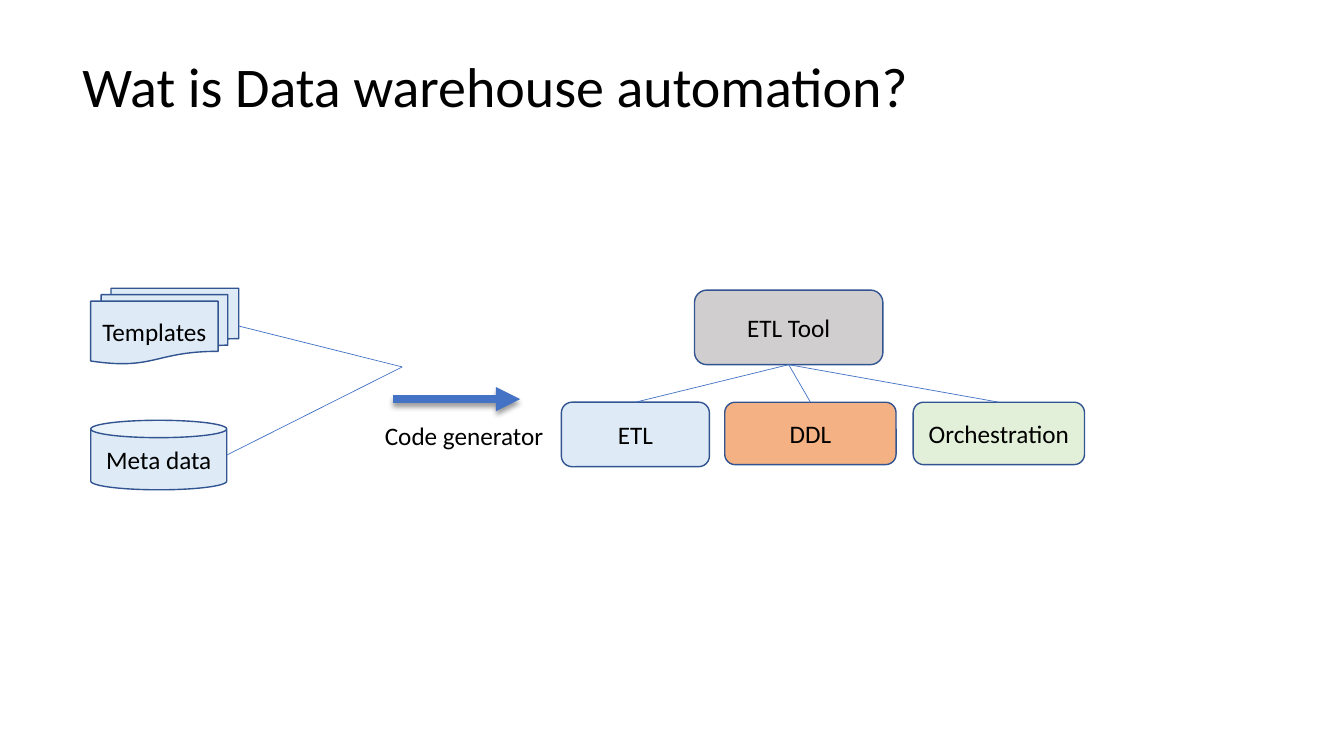
import pptx
import pptx.dml.color
import pptx.enum.shapes
import pptx.enum.text
import pptx.oxml
import pptx.oxml.ns
import pptx.util

Pt = pptx.util.Pt
Shape = pptx.enum.shapes.MSO_SHAPE
Align = pptx.enum.text.PP_ALIGN
Anchor = pptx.enum.text.MSO_ANCHOR

ARROW_SHADOW = (
    '<a:outerShdw blurRad="50800" dist="38100" dir="5400000" rotWithShape="0">'
    '<a:srgbClr val="000000"><a:alpha val="40000"/></a:srgbClr></a:outerShdw>'
)


def color(hex_string):
    return pptx.dml.color.RGBColor.from_string(hex_string)


def parse_drawing(tag, content="", attributes=""):
    namespace = pptx.oxml.ns.nsdecls("a")
    return pptx.oxml.parse_xml(f"<a:{tag} {namespace} {attributes}>{content}</a:{tag}>")


def write(frame, text, size=18, align=Align.LEFT, anchor=Anchor.TOP,
          font="Calibri", ink="000000"):
    frame.word_wrap = True
    frame.vertical_anchor = anchor
    paragraph = frame.paragraphs[0]
    paragraph.alignment = align
    run = paragraph.add_run()
    run.text = text
    run.font.name = font
    run.font.size = Pt(size)
    run.font.color.rgb = color(ink)


class Diagram:
    outline = "325491"
    accent = "4472C4"
    blue = "DEEBF7"
    orange = "F4B183"
    green = "E2F0D9"
    gray = "D0CECE"

    def __init__(self, slide):
        self.slide = slide

    def text(self, text, left, top, width, height, **style):
        box = self.slide.shapes.add_textbox(Pt(left), Pt(top), Pt(width), Pt(height))
        write(box.text_frame, text, **style)

    def node(self, text, left, top, width, height, fill, kind=Shape.ROUNDED_RECTANGLE):
        shape = self.slide.shapes.add_shape(kind, Pt(left), Pt(top), Pt(width), Pt(height))
        shape.shadow.inherit = False
        shape.fill.solid()
        shape.fill.fore_color.rgb = color(fill)
        shape.line.color.rgb = color(self.outline)
        shape.line.width = Pt(1)
        write(shape.text_frame, text, align=Align.CENTER, anchor=Anchor.MIDDLE)
        return shape

    def line(self, start, end, width=0.5, arrow=False):
        """Draw a line between two (x, y) points; an arrow also casts a shadow."""
        line = self.slide.shapes.add_connector(
            pptx.enum.shapes.MSO_CONNECTOR.STRAIGHT, *start, *end)
        line.line.color.rgb = color(self.accent)
        line.line.width = Pt(width)
        if arrow:
            line.line._get_or_add_ln().append(
                parse_drawing("tailEnd", attributes='type="triangle"'))
        line._element.spPr.append(
            parse_drawing("effectLst", ARROW_SHADOW if arrow else ""))


def top_center(shape):
    return shape.left + shape.width // 2, shape.top


def bottom_center(shape):
    return shape.left + shape.width // 2, shape.top + shape.height


def right_middle(shape):
    return shape.left + shape.width, shape.top + shape.height // 2


def main():
    presentation = pptx.Presentation()
    presentation.slide_width = Pt(960)
    presentation.slide_height = Pt(540)
    diagram = Diagram(presentation.slides.add_slide(presentation.slide_layouts[6]))

    diagram.text("Wat is Data warehouse automation?", 51.8, 33.1, 733, 104.4, size=40)

    outputs = [
        diagram.node("ETL", 401, 287.3, 105.8, 46.1, diagram.blue),
        diagram.node("DDL", 517.7, 287.3, 122.4, 44.6, diagram.orange),
        diagram.node("Orchestration", 652.3, 287.3, 122.4, 44.6, diagram.green),
    ]
    tool = diagram.node("ETL Tool", 496.1, 207.2, 134.6, 53.3, diagram.gray)
    for output in outputs:
        diagram.line(bottom_center(tool), top_center(output))

    inputs = [
        diagram.node("Meta data", 64.8, 300.2, 97.2, 49.7, diagram.blue, Shape.CAN),
        diagram.node("Templates", 64.8, 205.9, 105.8, 54, diagram.blue,
                     Shape.FLOWCHART_MULTIDOCUMENT),
    ]
    for source in inputs:
        diagram.line(right_middle(source), (Pt(287.3), Pt(262.1)))

    diagram.line((Pt(280.8), Pt(285.1)), (Pt(371.5), Pt(285.1)), width=5.75, arrow=True)
    diagram.text("Code generator", 267.8, 296.6, 128.9, 28.8)

    presentation.save("out.pptx")


if __name__ == "__main__":
    main()
